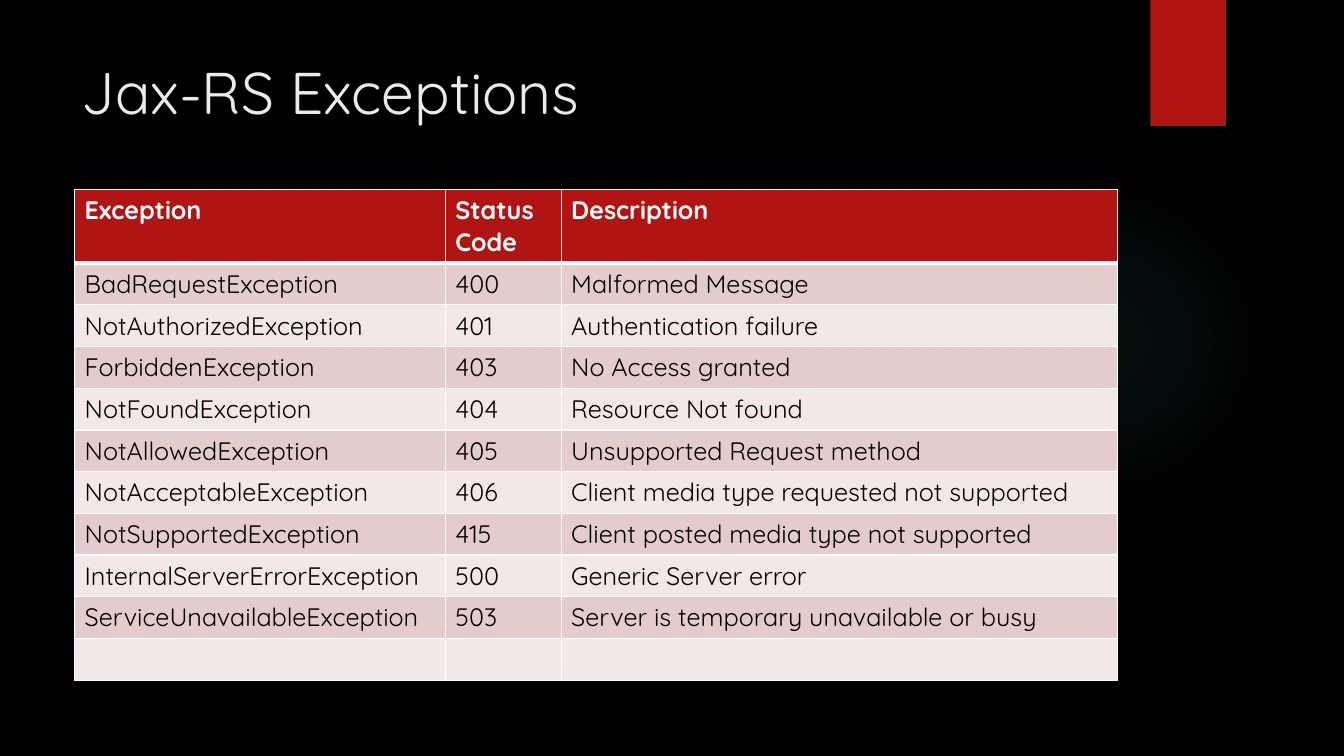
from lxml import etree
from pptx import Presentation, util as u
from pptx.dml.color import RGBColor
from pptx.enum import shapes, text
from pptx.oxml import parse_xml
from pptx.oxml.ns import nsdecls

FONT = "Quicksand"
RED, WHITE, BLACK = "B01513", "FFFFFF", "000000"
BANDS = ["E4CCCC", "F2E8E7"]
ROWS = [
    ("Exception", "Status Code", "Description"),
    ("BadRequestException", "400", "Malformed Message"),
    ("NotAuthorizedException", "401", "Authentication failure"),
    ("ForbiddenException", "403", "No Access granted"),
    ("NotFoundException", "404", "Resource Not found"),
    ("NotAllowedException", "405", "Unsupported Request method"),
    ("NotAcceptableException", "406", "Client media type requested not supported"),
    ("NotSupportedException", "415", "Client posted media type not supported"),
    ("InternalServerErrorException", "500", "Generic Server error"),
    ("ServiceUnavailableException", "503", "Server is temporary unavailable or busy"),
    ("", "", ""),
]


def paint(fill, color):
    """Fill with a solid hex colour."""
    fill.solid()
    fill.fore_color.rgb = RGBColor.from_string(color)


def style(frame, size, color, bold=False):
    """Format every run of a text frame."""
    for para in frame.paragraphs:
        for run in para.runs:
            run.font.name, run.font.size, run.font.bold = FONT, u.Pt(size), bold
            paint(run.font.fill, color)


def inches(box):
    """Turn a box in inches into lengths."""
    return [u.Inches(part) for part in box]


def plain(slide, kind, box):
    """Add a shape without line or shadow."""
    shape = slide.shapes.add_shape(kind, *inches(box))
    shape.shadow.inherit = False
    shape.line.fill.background()
    return shape


def glow(slide, box):
    """Add the faint round glow that fades outward."""
    disc = plain(slide, shapes.MSO_SHAPE.OVAL, box)
    disc.fill.background()
    stops = "".join(
        f'<a:gs pos="{pos}000"><a:srgbClr val="50B9C1">'
        f'<a:alpha val="{alpha}000"/></a:srgbClr></a:gs>'
        for pos, alpha in [(0, 7), (36, 6), (69, 0), (100, 0)])
    grad = parse_xml(
        f'<a:gradFill {nsdecls("a")} rotWithShape="1"><a:gsLst>{stops}</a:gsLst>'
        '<a:path path="circle"><a:fillToRect l="50000" t="50000" r="50000" '
        'b="50000"/></a:path></a:gradFill>')
    props = disc.element.spPr
    old = props.find("{*}noFill")
    props.replace(old, grad)


def flag(slide, box):
    """Add the red tab at the top edge."""
    paint(plain(slide, shapes.MSO_SHAPE.RECTANGLE, box).fill, RED)


def title(slide, box, words):
    """Add the slide title."""
    frame = slide.shapes.add_textbox(*inches(box)).text_frame
    frame.word_wrap = True
    frame.vertical_anchor = text.MSO_ANCHOR.TOP
    frame.text = words
    style(frame, 42, "EBEBEB")


def edge(cell, low):
    """Draw white cell borders, with the given width below."""
    props = cell._tc.get_or_add_tcPr()
    for spot, (side, width) in enumerate(zip("LRTB", [1, 1, 1, low])):
        line = etree.fromstring(
            f'<a:ln{side} {nsdecls("a")} w="{u.Pt(width)}"><a:solidFill>'
            f'<a:srgbClr val="{WHITE}"/></a:solidFill></a:ln{side}>')
        props.insert(spot, line)


def grid(slide, box, shares, head):
    """Add the banded table, with column shares and a header height."""
    frame = slide.shapes.add_table(len(ROWS), len(shares), *inches(box))
    table = frame.table
    for col, share in zip(table.columns, shares):
        col.width = u.Inches(box[2] * share / sum(shares))
    step = (box[3] - head) / (len(ROWS) - 1)
    for at, words in enumerate(ROWS):
        top = at == 0
        table.rows[at].height = u.Inches(head if top else step)
        for cell, word in zip(table.rows[at].cells, words):
            cell.text_frame.text = word
            style(cell.text_frame, 18, WHITE if top else BLACK, top)
            paint(cell.fill, RED if top else BANDS[(at - 1) % 2])
            edge(cell, 3 if top else 1)


def main():
    """Build and save the slide."""
    deck = Presentation()
    deck.slide_width, deck.slide_height = u.Inches(13.33), u.Inches(7.5)
    slide = deck.slides.add_slide(deck.slide_layouts[6])
    paint(slide.background.fill, BLACK)
    glow(slide, (9.41, 1.83, 3.08, 3.08))
    flag(slide, (11.41, 0, 0.75, 1.25))
    title(slide, (0.71, 0.5, 10.29, 1.53), "Jax-RS Exceptions")
    grid(slide, (0.74, 1.88, 10.34, 4.87), (3.68, 1.15, 5.52), 0.73)
    deck.save("out.pptx")


if __name__ == "__main__":
    main()
